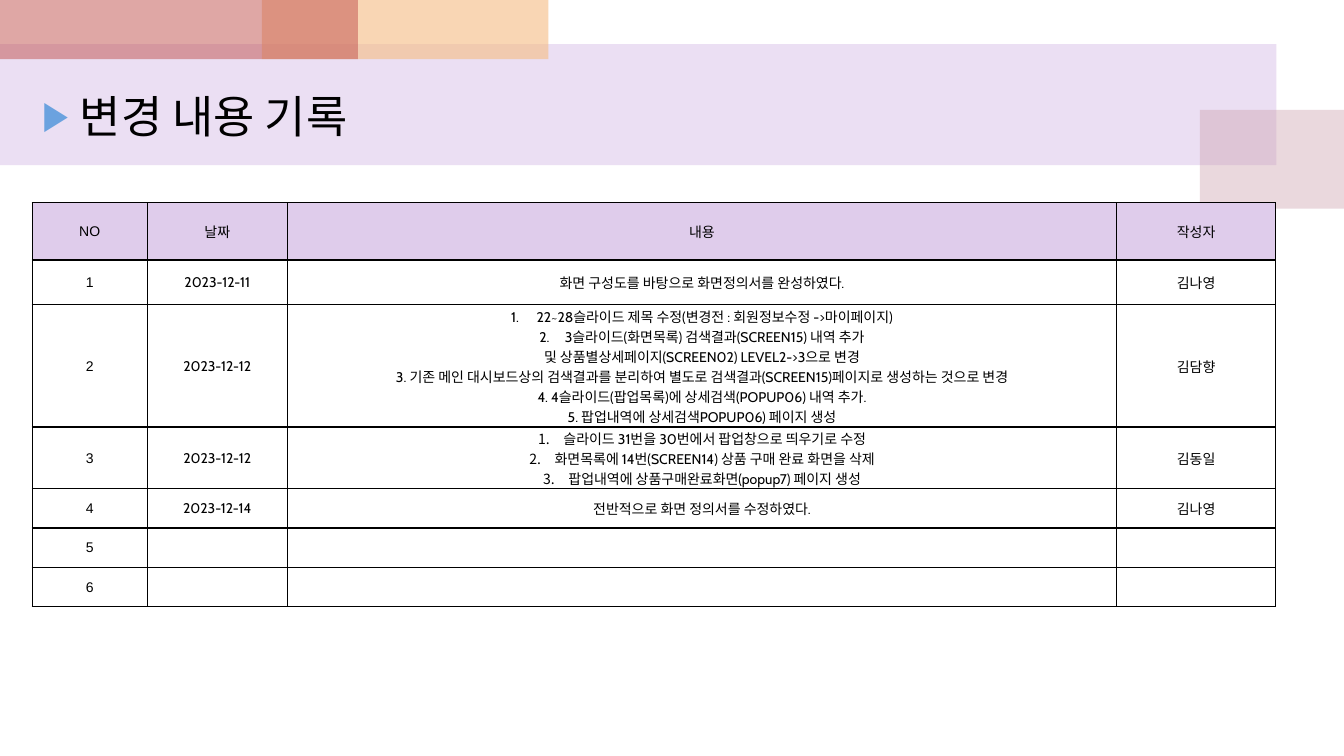
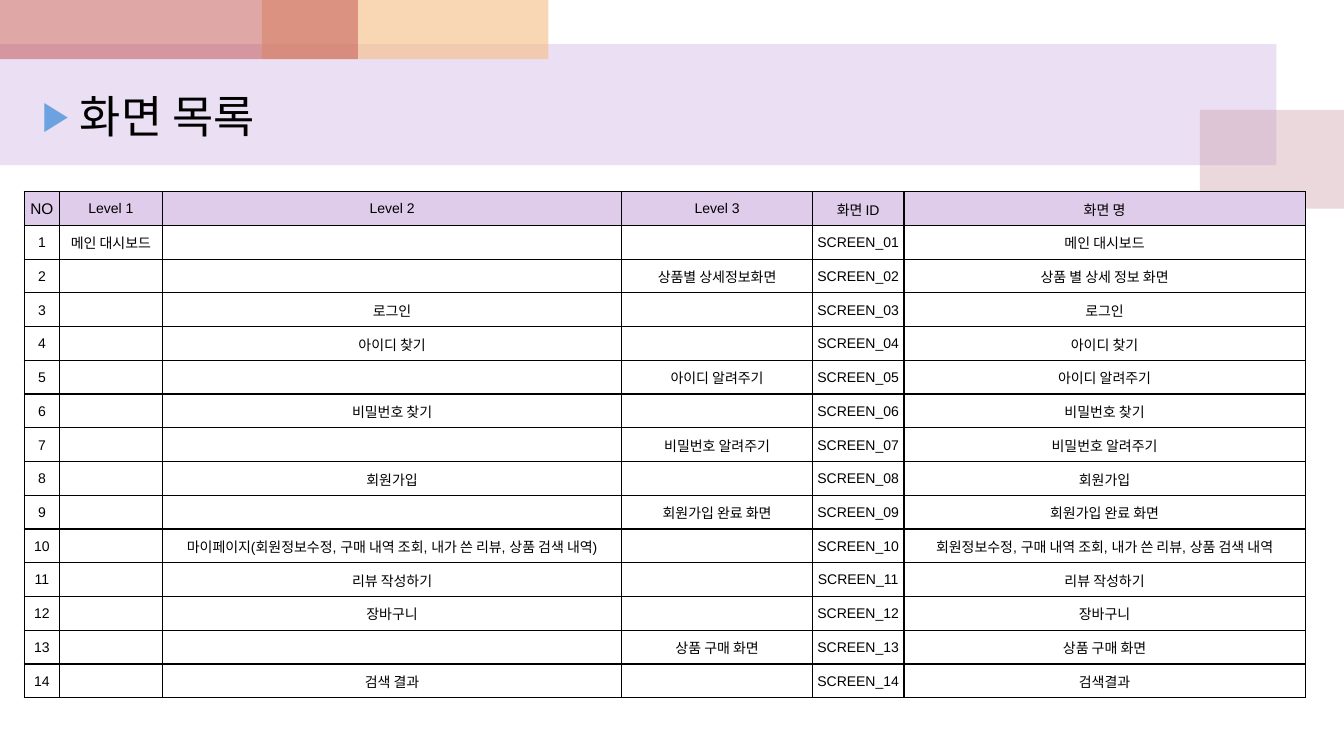
from pptx import Presentation
from pptx.dml.color import RGBColor
from pptx.enum.shapes import MSO_SHAPE
from pptx.enum.text import MSO_ANCHOR, MSO_AUTO_SIZE, PP_ALIGN
from pptx.oxml import parse_xml
from pptx.oxml.ns import nsdecls
from pptx.util import Cm, Pt

BLACK = RGBColor(0x00, 0x00, 0x00)
LILAC = RGBColor(0xBF, 0x98, 0xD8)
ROSE = RGBColor(0xCC, 0x9E, 0xAC)
APRICOT = RGBColor(0xF5, 0xBC, 0x83)
BRICK = RGBColor(0xC0, 0x50, 0x4D)
HEADER_LILAC = RGBColor(0xDF, 0xCC, 0xEB)
BULLET_BLUE = RGBColor(0x6B, 0xA2, 0xDF)

TITLE_FONT = "Cabin"
TABLE_FONT = "Arial"

# left, top, width, height in cm, colour, opacity in percent; back to front
BANDS = [
    (0, 1.11, 32.17, 3.05, LILAC, 30),
    (30.24, 2.77, 3.63, 2.49, ROSE, 40),
    (6.6, 0, 7.22, 1.49, APRICOT, 60),
    (0, 0, 9.02, 1.49, BRICK, 50),
]


class Numbered(str):
    """A line of a cell that carries an automatic number."""


CHANGES = [
    ("2023-12-11", ["화면 구성도를 바탕으로 화면정의서를 완성하였다."], "김나영"),
    ("2023-12-12", [
        Numbered("22~28슬라이드 제목 수정(변경전 : 회원정보수정 ->마이페이지)"),
        Numbered("3슬라이드(화면목록) 검색결과(SCREEN15) 내역 추가"),
        "및 상품별상세페이지(SCREEN02) LEVEL2->3으로 변경",
        "3. 기존 메인 대시보드상의 검색결과를 분리하여 별도로 "
        "검색결과(SCREEN15)페이지로 생성하는 것으로 변경",
        "4. 4슬라이드(팝업목록)에 상세검색(POPUP06) 내역 추가.",
        "5. 팝업내역에 상세검색POPUP06) 페이지 생성",
    ], "김담향"),
    ("2023-12-12", [
        Numbered("슬라이드 31번을 30번에서 팝업창으로 띄우기로 수정"),
        Numbered("화면목록에 14번(SCREEN14) 상품 구매 완료 화면을 삭제"),
        Numbered("팝업내역에 상품구매완료화면(popup7) 페이지 생성"),
    ], "김동일"),
    ("2023-12-14", ["전반적으로 화면 정의서를 수정하였다."], "김나영"),
    ("", [], ""),
    ("", [], ""),
]

# level, text in that level's column, screen name
SCREENS = [
    (1, "메인 대시보드", "메인 대시보드"),
    (3, "상품별 상세정보화면", "상품 별 상세 정보 화면"),
    (2, "로그인", "로그인"),
    (2, "아이디 찾기", "아이디 찾기"),
    (3, "아이디 알려주기", "아이디 알려주기"),
    (2, "비밀번호 찾기", "비밀번호 찾기"),
    (3, "비밀번호 알려주기", "비밀번호 알려주기"),
    (2, "회원가입", "회원가입"),
    (3, "회원가입 완료 화면", "회원가입 완료 화면"),
    (2, "마이페이지(회원정보수정, 구매 내역 조회, 내가 쓴 리뷰, 상품 검색 내역)",
     "회원정보수정, 구매 내역 조회, 내가 쓴 리뷰, 상품 검색 내역"),
    (2, "리뷰 작성하기", "리뷰 작성하기"),
    (2, "장바구니", "장바구니"),
    (3, "상품 구매 화면", "상품 구매 화면"),
    (2, "검색 결과", "검색결과"),
]


def drawing(markup):
    """Make one DrawingML element from its markup without the namespace."""
    tag, rest = markup[:-2].partition(" ")[::2] if markup.endswith("/>") else (None, None)
    if tag:
        return parse_xml(f"{tag} {nsdecls('a')} {rest}/>")
    head, _, tail = markup.partition(">")
    return parse_xml(f"{head} {nsdecls('a')}>{tail}")


def set_bullet(paragraph, indent, *markups):
    """Give a paragraph a hanging indent and the bullet described by the markups."""
    properties = paragraph._p.get_or_add_pPr()
    properties.set("marL", str(indent))
    properties.set("indent", str(-indent))
    for markup in markups:
        properties.append(drawing(markup))


def format_runs(paragraph, font_name, size):
    """Set font, size and black colour on every run of a paragraph."""
    for run in paragraph.runs:
        run.font.name = font_name
        run.font.size = Pt(size)
        run.font.color.rgb = BLACK


def add_bands(slide, layout):
    """Draw the translucent bands and move them to the layout, behind its placeholders."""
    for depth, (left, top, width, height, colour, opacity) in enumerate(BANDS):
        band = slide.shapes.add_shape(
            MSO_SHAPE.RECTANGLE, Cm(left), Cm(top), Cm(width), Cm(height))
        band.shadow.inherit = False
        band.fill.solid()
        band.fill.fore_color.rgb = colour
        band.line.fill.background()
        fill_colour = band.element.xpath("./p:spPr/a:solidFill/a:srgbClr")[0]
        fill_colour.append(drawing(f'<a:alpha val="{opacity * 1000}"/>'))
        band.element.xpath("./p:nvSpPr/p:cNvPr")[0].set("id", str(100 + depth))
        layout.shapes.element.insert(2 + depth, band.element)


def set_title(slide, text):
    """Fill the title placeholder and mark it with the blue triangle."""
    title = slide.shapes.title
    title.left, title.top, title.width, title.height = Cm(0.81), Cm(2.11), Cm(17.2), Cm(0.81)
    frame = title.text_frame
    frame.text = text
    frame.auto_size = MSO_AUTO_SIZE.NONE
    frame.vertical_anchor = MSO_ANCHOR.TOP
    heading = frame.paragraphs[0]
    heading.alignment = PP_ALIGN.LEFT
    set_bullet(
        heading, Cm(0.95),
        f'<a:buClr><a:srgbClr val="{BULLET_BLUE}"/></a:buClr>',
        '<a:buSzPct val="90000"/>',
        '<a:buFont typeface="Arial"/>',
        '<a:buChar char="▶"/>')
    format_runs(heading, TITLE_FONT, 32)


def add_borders(cell):
    """Put a thin black line on all four sides of a cell."""
    properties = cell._tc.get_or_add_tcPr()
    for position, side in enumerate(("lnL", "lnR", "lnT", "lnB")):
        properties.insert(position, drawing(
            f'<a:{side} w="{Pt(1)}"><a:solidFill><a:srgbClr val="{BLACK}"/>'
            f'</a:solidFill></a:{side}>'))


def fill_cell(cell, lines, font_name, size, side_margin):
    """Write centred lines into a cell, numbering those that ask for it."""
    cell.margin_left = cell.margin_right = Cm(side_margin)
    cell.margin_top, cell.margin_bottom = Cm(0.03), 0
    cell.vertical_anchor = MSO_ANCHOR.MIDDLE
    cell.text_frame.text = "\n".join(lines)
    for line, paragraph in zip(lines, cell.text_frame.paragraphs):
        paragraph.alignment = PP_ALIGN.CENTER
        if isinstance(line, Numbered):
            set_bullet(paragraph, Cm(0.64), '<a:buFont typeface="+mj-lt"/>',
                       '<a:buAutoNum type="arabicPeriod"/>')
        format_runs(paragraph, font_name, size)


def add_grid(slide, left, top, widths, heights, rows, body_font, corner_size=10):
    """Add a bordered table with a lilac header row and a number column."""
    grid = slide.shapes.add_table(
        len(rows), len(widths), Cm(left), Cm(top), Cm(sum(widths)), Cm(sum(heights))).table
    grid.first_row = grid.horz_banding = False
    for column, width in zip(grid.columns, widths):
        column.width = Cm(width)
    for row, height in zip(grid.rows, heights):
        row.height = Cm(height)
    for r, row in enumerate(rows):
        for c, content in enumerate(row):
            cell = grid.cell(r, c)
            lines = [content] if isinstance(content, str) else content
            is_edge = r == 0 or c == 0
            fill_cell(cell, lines, TABLE_FONT if is_edge else body_font,
                      corner_size if r == c == 0 else 10, 0.1 if is_edge else 0.03)
            if r == 0:
                cell.fill.solid()
                cell.fill.fore_color.rgb = HEADER_LILAC
            else:
                cell.fill.background()
            add_borders(cell)


def change_rows():
    """Return the rows of the change log with their running numbers."""
    header = ("NO", "날짜", "내용", "작성자")
    return [header] + [(str(n), *change) for n, change in enumerate(CHANGES, 1)]


def screen_rows():
    """Return the rows of the screen list, each text in its level's column."""
    rows = [("NO", "Level 1", "Level 2", "Level 3", "화면 ID", "화면 명")]
    for n, (level, text, name) in enumerate(SCREENS, 1):
        levels = [text if level == column else "" for column in (1, 2, 3)]
        rows.append((str(n), *levels, f"SCREEN_{n:02}", name))
    return rows


def main():
    """Build both slides and save them."""
    deck = Presentation()
    deck.slide_width, deck.slide_height = Cm(33.87), Cm(19.05)
    title_only = deck.slide_layouts[5]

    change_log = deck.slides.add_slide(title_only)
    add_bands(change_log, title_only)
    set_title(change_log, "변경 내용 기록")
    add_grid(change_log, 0.81, 5.11, [2.9, 3.53, 20.9, 4.01],
             [1.44, 1.13] + [0.99] * 5, change_rows(), TITLE_FONT)

    screen_list = deck.slides.add_slide(title_only)
    set_title(screen_list, "화면 목록")
    rows = screen_rows()
    add_grid(screen_list, 0.61, 4.83, [0.89, 2.59, 11.58, 4.8, 2.31, 10.11],
             [0.85] * len(rows), rows, TABLE_FONT, corner_size=11)

    deck.save("out.pptx")


main()
